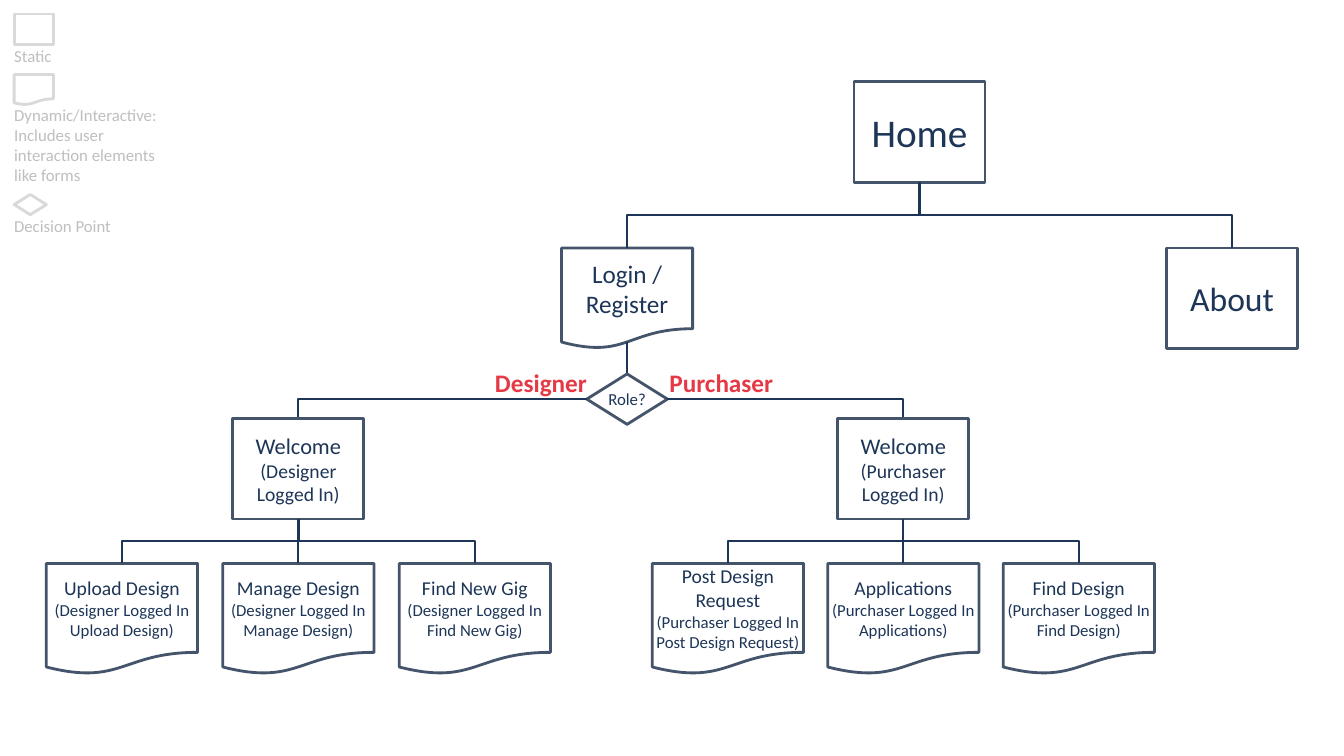
from pptx import Presentation
from pptx.dml.color import RGBColor
from pptx.enum.shapes import MSO_CONNECTOR, MSO_SHAPE
from pptx.enum.text import MSO_ANCHOR, PP_ALIGN
from pptx.oxml.ns import qn
from pptx.oxml.xmlchemy import OxmlElement
from pptx.util import Pt

PX = 9144  # EMU per px, 100 px to the inch
STATIC = MSO_SHAPE.RECTANGLE
DYNAMIC = MSO_SHAPE.FLOWCHART_DOCUMENT
DECISION = MSO_SHAPE.FLOWCHART_DECISION
STRAIGHT, ELBOW = MSO_CONNECTOR.STRAIGHT, MSO_CONNECTOR.ELBOW
LEFT, CENTER = PP_ALIGN.LEFT, PP_ALIGN.CENTER
MIDDLE = MSO_ANCHOR.MIDDLE


def color(hex_string):
    return RGBColor.from_string(hex_string)


class Sitemap:
    FONT = "Calibri"
    NAVY, BORDER, RED = "1D3557", "44546A", "E63946"
    KEY_TEXT, KEY_LINE, WHITE = "BFBFBF", "D9D9D9", "FFFFFF"

    def __init__(self, slide):
        self.shapes = slide.shapes

    def set_text(self, shape, lines, ink, align, bold=False):
        """Fill a shape with (text, size) paragraphs."""
        frame = shape.text_frame
        frame.word_wrap = True
        frame.vertical_anchor = MIDDLE
        frame.margin_left = frame.margin_right = 0
        frame.margin_top = frame.margin_bottom = 0
        for i, (text, size) in enumerate(lines):
            paragraph = frame.add_paragraph() if i else frame.paragraphs[0]
            paragraph.alignment = align
            run = paragraph.add_run()
            run.text = text
            run.font.name = self.FONT
            run.font.size = Pt(size)
            run.font.bold = bold
            run.font.color.rgb = color(ink)

    def node(self, kind, x, y, w, h, lines=(), border=BORDER):
        shape = self.shapes.add_shape(kind, x * PX, y * PX, w * PX, h * PX)
        shape.shadow.inherit = False
        if kind == DECISION:
            shape.fill.solid()
            shape.fill.fore_color.rgb = color(self.WHITE)
        else:
            shape.fill.background()
        shape.line.color.rgb = color(border)
        shape.line.width = Pt(2)
        self.set_text(shape, lines, self.NAVY, CENTER)

    def label(self, x, y, w, h, lines, ink, bold=False):
        box = self.shapes.add_textbox(x * PX, y * PX, w * PX, h * PX)
        self.set_text(box, lines, ink, LEFT, bold)

    def link(self, kind, x1, y1, x2, y2):
        ends = [round(v * PX) for v in (x1, y1, x2, y2)]
        connector = self.shapes.add_connector(kind, *ends)
        connector.line.color.rgb = color(self.NAVY)
        connector.line.width = Pt(1.5)
        properties = connector._element.spPr
        properties.append(OxmlElement("a:effectLst"))
        return properties

    def branch(self, x1, y1, x2, y2):
        """Down, across and down: a sideways elbow turned a quarter."""
        if x1 == x2:
            self.link(STRAIGHT, x1, y1, x2, y2)
            return
        mid_x, mid_y = (x1 + x2) / 2, (y1 + y2) / 2
        half_w, half_h = (x2 - x1) / 2, (y2 - y1) / 2
        side = 1 if x2 > x1 else -1
        properties = self.link(ELBOW,
                               mid_x + side * half_h, mid_y - abs(half_w),
                               mid_x - side * half_h, mid_y + abs(half_w))
        turn = 270 if side > 0 else 90
        properties.find(qn("a:xfrm")).set("rot", str(turn * 60000))

    def corner(self, x1, y1, x2, y2):
        """Across, then down."""
        properties = self.link(ELBOW, x1, y1, x2, y2)
        properties.find(qn("a:prstGeom")).set("prst", "bentConnector2")


def main():
    deck = Presentation()
    deck.slide_width, deck.slide_height = 1333 * PX, 750 * PX
    sitemap = Sitemap(deck.slides.add_slide(deck.slide_layouts[6]))

    # Top pages
    page_w, page_h = 130, 100
    home_x, login_x, about_x = 912, 622, 1222
    for kind, center, top, title, size in (
            (STATIC, home_x, 81, "Home", 28),
            (DYNAMIC, login_x, 246, "Login / Register", 18),
            (STATIC, about_x, 246, "About", 24)):
        sitemap.node(kind, center - page_w // 2, top, page_w, page_h,
                     [(title, size)])
    for center in (login_x, about_x):
        sitemap.branch(home_x, 181, center, 246)

    # Role decision
    role_y = 396
    sitemap.link(STRAIGHT, login_x, 371, login_x, 339)
    sitemap.node(DECISION, login_x - 40, 371, 80, 50, [("Role?", 12)])

    # One branch for each role
    welcome_y, task_y, task_w = 415, 559, 150
    for role, center, side, label_x, label_w, step, tasks in (
            ("Designer", 296, -1, 491, 103, 175,
             ("Upload Design", "Manage Design", "Find New Gig")),
            ("Purchaser", 896, 1, 664, 130, 174,
             ("Post Design Request", "Applications", "Find Design"))):
        sitemap.corner(login_x + side * 40, role_y, center, welcome_y)
        sitemap.label(label_x, 364, label_w, 30, [(role, 18)],
                      sitemap.RED, bold=True)
        sitemap.node(STATIC, center - page_w // 2, welcome_y, page_w, page_h,
                     [("Welcome", 16), (f"({role}", 14), ("Logged In)", 14)])
        for i, task in enumerate(tasks):
            task_x = center + (i - 1) * step
            sitemap.node(DYNAMIC, task_x - task_w // 2, task_y, task_w, 110,
                         [(task, 14), (f"({role} Logged In {task})", 12)])
            sitemap.branch(center, welcome_y + page_h, task_x, task_y)

    # Key to the shapes
    for kind, y, w, h, text_y, text_w, text_h, lines in (
            (STATIC, 14, 39, 30, 45, 45, 20, ["Static"]),
            (DYNAMIC, 74, 39, 30, 103, 150, 81,
             ["Dynamic/Interactive:",
              "Includes user interaction elements like forms"]),
            (DECISION, 193, 32, 20, 214, 113, 20, ["Decision Point"])):
        sitemap.node(kind, 14, y, w, h, border=sitemap.KEY_LINE)
        sitemap.label(14, text_y, text_w, text_h,
                      [(line, 12) for line in lines], sitemap.KEY_TEXT)

    deck.save("out.pptx")


if __name__ == "__main__":
    main()
